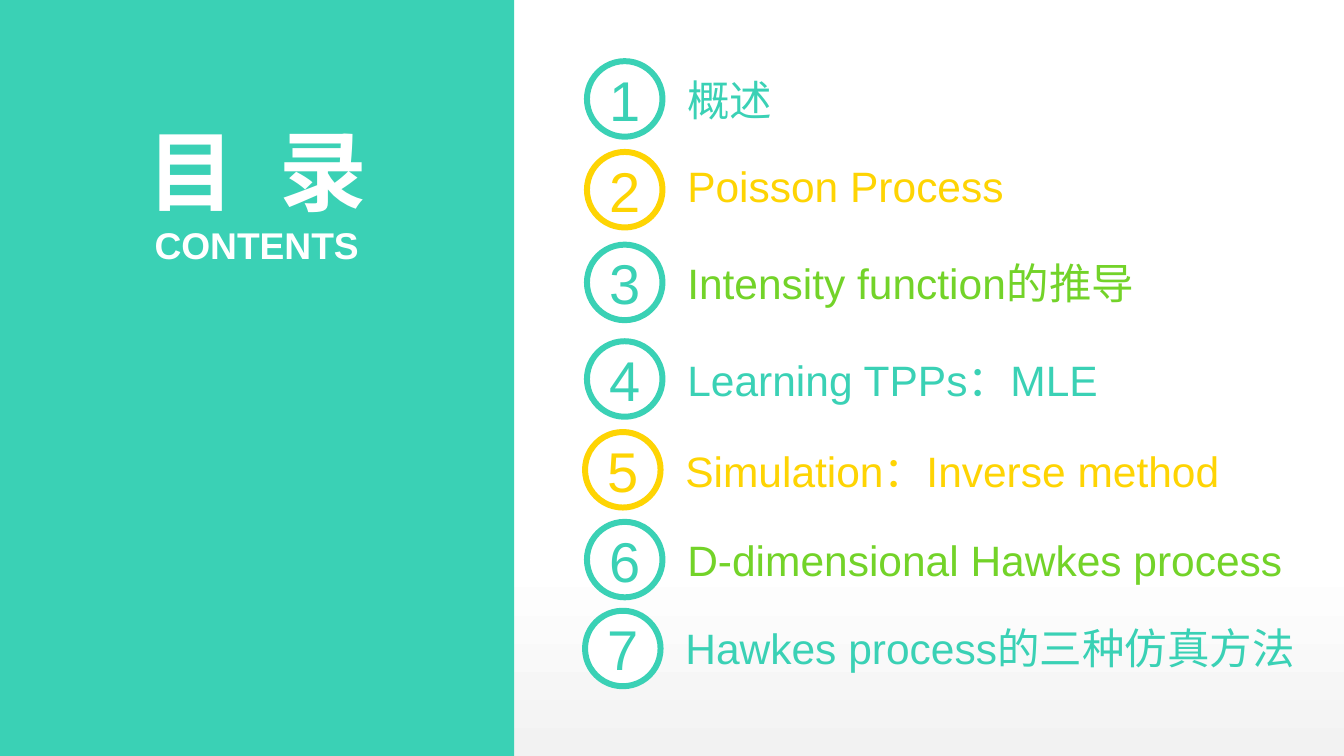
from dataclasses import dataclass

from pptx import Presentation
from pptx.dml.color import RGBColor
from pptx.enum.shapes import MSO_SHAPE
from pptx.enum.text import MSO_ANCHOR, MSO_AUTO_SIZE, PP_ALIGN
from pptx.util import Pt

RECT, OVAL = MSO_SHAPE.RECTANGLE, MSO_SHAPE.OVAL
LEFT, CENTER = PP_ALIGN.LEFT, PP_ALIGN.CENTER
TOP, MIDDLE = MSO_ANCHOR.TOP, MSO_ANCHOR.MIDDLE
GROW = MSO_AUTO_SIZE.SHAPE_TO_FIT_TEXT

PX = 9144  # EMU per px, 100 px to the inch
SLIDE_W, SLIDE_H = 1406, 791
PANEL_W = 538
RING = 79
LABEL_DX, LABEL_H = 105, 54


@dataclass(frozen=True)
class Theme:
    font: str = "Arial"
    teal: str = "3AD1B5"
    yellow: str = "FED403"
    green: str = "73D329"
    white: str = "FFFFFF"
    grey: str = "F2F2F2"
    title: float = 66
    subtitle: float = 28
    number: float = 42.2
    label: float = 32
    ring_line: float = 4.5


@dataclass(frozen=True)
class Entry:
    text: str
    left: int
    top: int
    label_top: int
    label_w: int
    ring_color: str
    label_color: str


T = Theme()
ENTRIES = [
    Entry("概述", 614, 64, 77, 296, T.teal, T.teal),
    Entry("Poisson Process", 614, 159, 167, 346, T.yellow, T.yellow),
    Entry("Intensity function的推导", 614, 256, 269, 488, T.teal, T.green),
    Entry("Learning TPPs：MLE", 614, 357, 370, 488, T.teal, T.teal),
    Entry("Simulation：Inverse method", 612, 452, 465, 577, T.yellow, T.yellow),
    Entry("D-dimensional Hawkes process", 614, 546, 558, 646, T.teal, T.green),
    Entry("Hawkes process的三种仿真方法", 612, 639, 651, 646, T.teal, T.teal),
]


def rgb(color: str) -> RGBColor:
    return RGBColor.from_string(color)


def box(*px: int) -> list[int]:
    return [v * PX for v in px]


def add_shape(slide, kind, left: int, top: int, w: int, h: int, fill: str, line: str | None = None):
    sp = slide.shapes.add_shape(kind, *box(left, top, w, h))
    sp.shadow.inherit = False
    sp.fill.solid()
    sp.fill.fore_color.rgb = rgb(fill)
    if line:
        sp.line.color.rgb = rgb(line)
        sp.line.width = Pt(T.ring_line)
    else:
        sp.line.fill.background()
    return sp


def add_textbox(slide, left: int, top: int, w: int, h: int):
    sp = slide.shapes.add_textbox(*box(left, top, w, h))
    sp.text_frame.auto_size = GROW
    return sp


def add_text(sp, text: str, *, size: float, color: str, bold: bool = False,
             align=LEFT, anchor=MIDDLE, tracking: float = 0) -> None:
    """Append a run to the first paragraph of sp; tracking is in points."""
    tf = sp.text_frame
    tf.word_wrap = True
    tf.vertical_anchor = anchor
    tf.margin_left = tf.margin_right = tf.margin_top = tf.margin_bottom = 0
    p = tf.paragraphs[0]
    p.alignment = align
    r = p.add_run()
    r.text = text
    r.font.name = T.font
    r.font.size = Pt(size)
    r.font.bold = bold
    r.font.color.rgb = rgb(color)
    if tracking:
        r._r.get_or_add_rPr().set("spc", str(round(tracking * 100)))


def add_backdrop(slide) -> None:
    sp = add_shape(slide, RECT, 0, 0, SLIDE_W, SLIDE_H, T.white)
    sp.fill.gradient()
    sp.fill.gradient_angle = 90
    for stop, color, position in zip(sp.fill.gradient_stops, (T.grey, T.white), (0, 0.26)):
        stop.color.rgb = rgb(color)
        stop.position = position


def add_heading(slide) -> None:
    add_shape(slide, RECT, 0, 0, PANEL_W, SLIDE_H, T.teal)
    style = dict(color=T.white, bold=True, align=CENTER)
    sp = add_textbox(slide, 136, 122, 266, 111)
    add_text(sp, "目 ", size=T.title, tracking=9.2, **style)
    add_text(sp, "录", size=T.title, **style)
    sp = add_textbox(slide, 137, 233, 263, 47)
    add_text(sp, "CONTENTS", size=T.subtitle, anchor=TOP, **style)


def add_entry(slide, number: int, e: Entry) -> None:
    sp = add_shape(slide, OVAL, e.left, e.top, RING, RING, T.white, e.ring_color)
    add_text(sp, str(number), size=T.number, color=e.ring_color, align=CENTER)
    sp = add_textbox(slide, e.left + LABEL_DX, e.label_top, e.label_w, LABEL_H)
    add_text(sp, e.text, size=T.label, color=e.label_color)


def main() -> None:
    prs = Presentation()
    prs.slide_width, prs.slide_height = box(SLIDE_W, SLIDE_H)
    slide = prs.slides.add_slide(prs.slide_layouts[6])

    # Background and title panel
    add_backdrop(slide)
    add_heading(slide)

    # Numbered contents
    for number, entry in enumerate(ENTRIES, 1):
        add_entry(slide, number, entry)

    prs.save("out.pptx")


if __name__ == "__main__":
    main()
